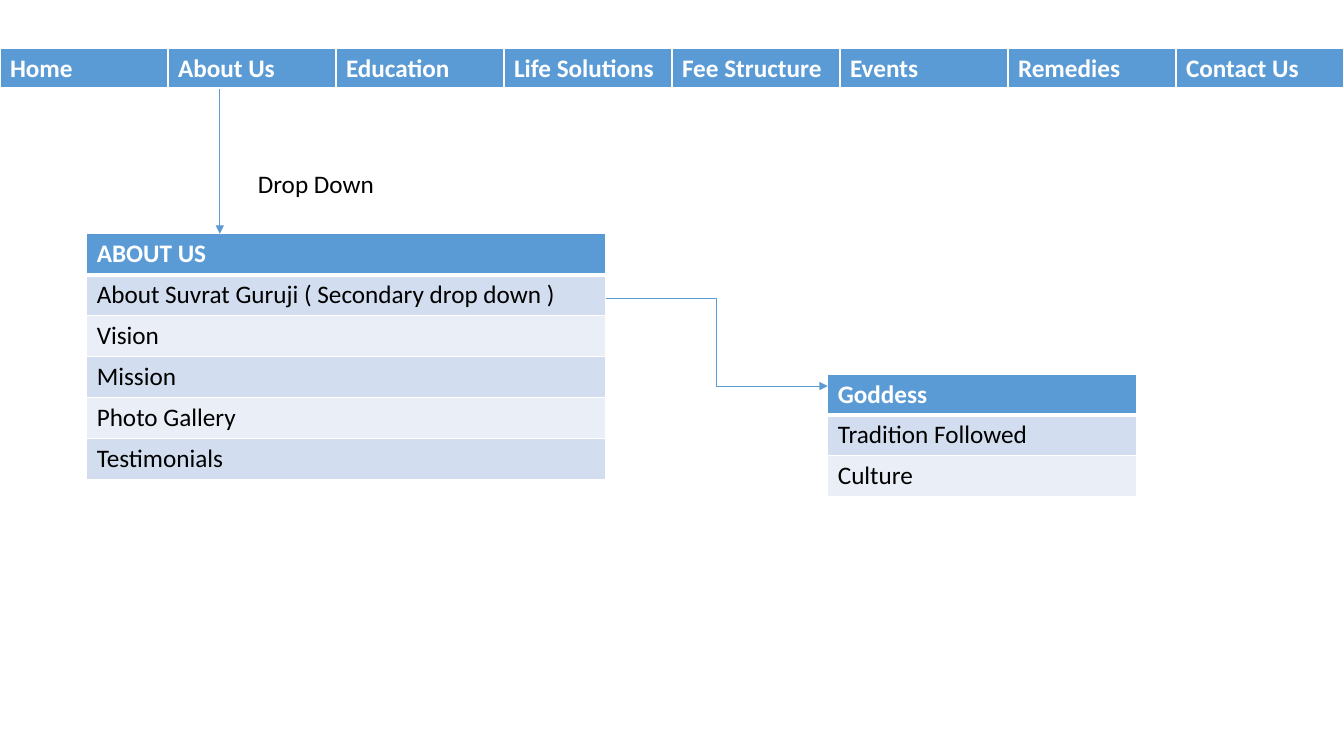
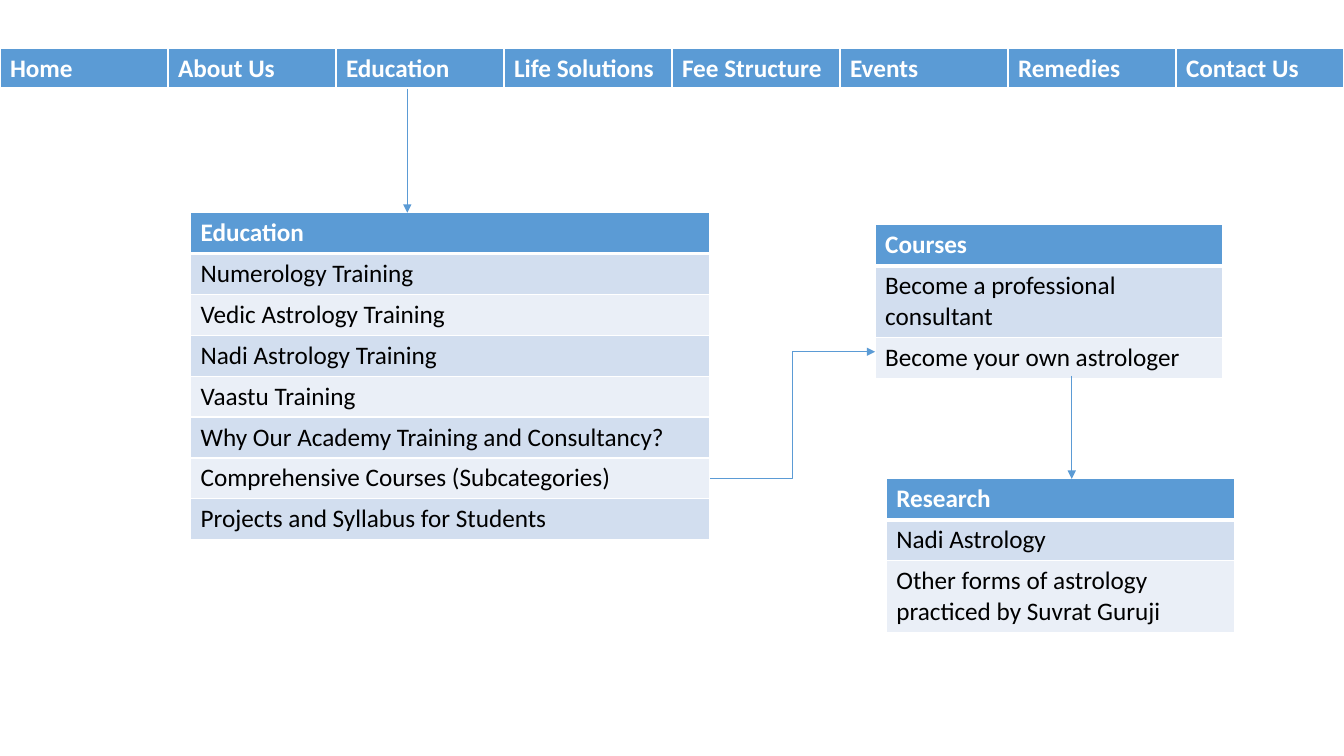
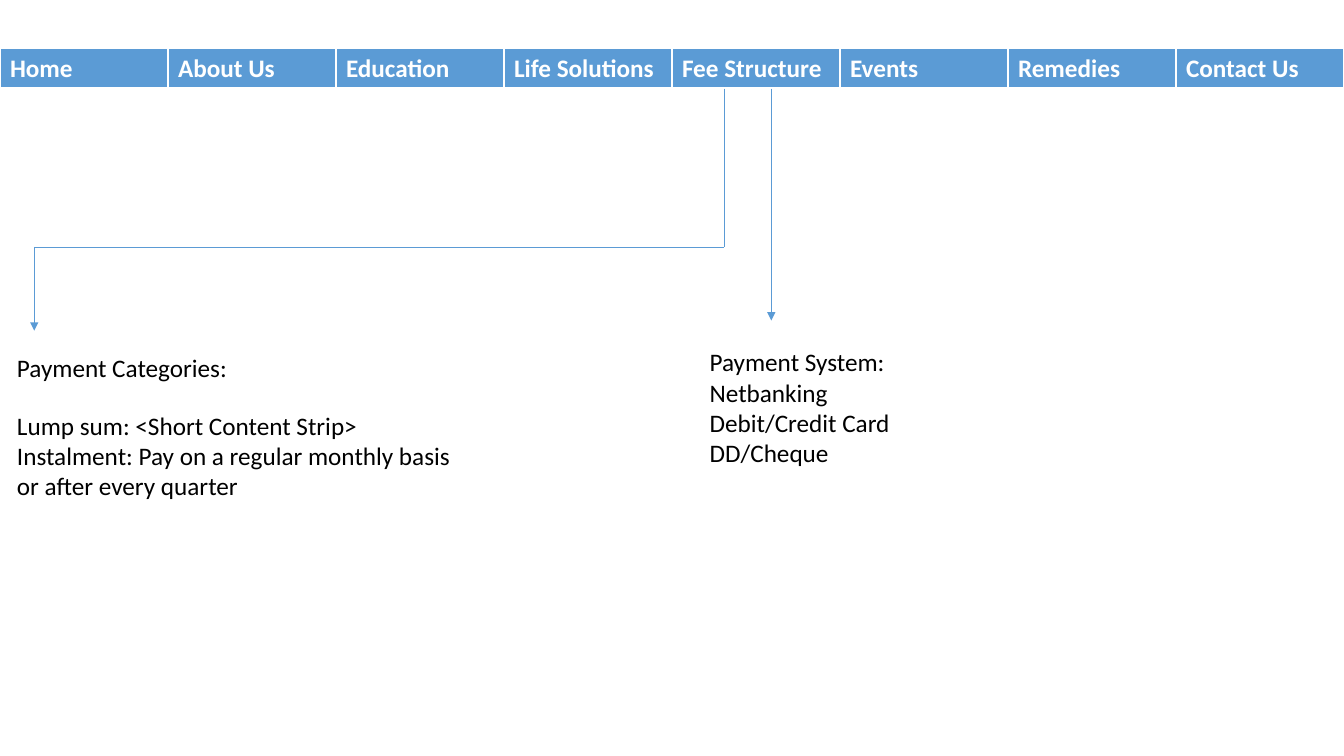
from dataclasses import dataclass

from lxml import etree
from pptx import Presentation
from pptx import util as u
from pptx.dml.color import RGBColor
from pptx.enum import shapes, text
from pptx.oxml.ns import qn


@dataclass(frozen=True)
class Theme:
    accent: RGBColor = RGBColor.from_string("5B9BD5")
    bands: tuple = (RGBColor.from_string("EAEFF7"), RGBColor.from_string("D2DEEF"))
    light: RGBColor = RGBColor.from_string("FFFFFF")
    dark: RGBColor = RGBColor.from_string("000000")
    font: str = "Calibri"
    size: u.Pt = u.Pt(18)
    line: u.Pt = u.Pt(0.5)
    border: u.Pt = u.Pt(1)
    header_border: u.Pt = u.Pt(3)
    row: u.Inches = u.Inches(0.4)


T = Theme()
STRAIGHT = shapes.MSO_CONNECTOR.STRAIGHT
ELBOW = shapes.MSO_CONNECTOR.ELBOW
NAV_BOTTOM = 0.88
MENU_WIDTH = 5.15
SUBMENU_WIDTH = 3.45
BEND = 2.45

nav = (0, 0.48, 13.33, [["Home", "About Us", "Education", "Life Solutions",
                         "Fee Structure", "Events", "Remedies", "Contact Us"]])

pages = [
    {
        "menus": [
            (0.86, 2.32, MENU_WIDTH, [
                ["ABOUT US"], ["About Suvrat Guruji ( Secondary drop down )"], ["Vision"],
                ["Mission"], ["Photo Gallery"], ["Testimonials"]]),
            (8.21, 3.71, 3.06, [["Goddess"], ["Tradition Followed"], ["Culture"]]),
        ],
        "links": [
            (STRAIGHT, 2.18, NAV_BOTTOM, 2.18, 2.32, True),
            (ELBOW, 6.01, 2.96, 8.21, 3.83, True),
        ],
        "labels": [(2.46, 1.62, 1.37, 0.4, False, ["Drop Down"])],
    },
    {
        "menus": [
            (1.89, 2.11, MENU_WIDTH, [
                ["Education"], ["Numerology Training"], ["Vedic Astrology Training"],
                ["Nadi Astrology Training"], ["Vaastu Training"],
                ["Why Our Academy Training and Consultancy?"],
                ["Comprehensive Courses (Subcategories)"],
                ["Projects and Syllabus for Students"]]),
            (8.68, 2.23, SUBMENU_WIDTH, [
                ["Courses"], ["Become a professional consultant"],
                ["Become your own astrologer"]]),
            (8.79, 4.75, SUBMENU_WIDTH, [
                ["Research"], ["Nadi Astrology"],
                ["Other forms of astrology practiced by Suvrat Guruji"]]),
        ],
        "links": [
            (STRAIGHT, 4.04, NAV_BOTTOM, 4.04, 2.11, True),
            (ELBOW, 7.04, 4.75, 8.68, 3.49, True),
            (STRAIGHT, 10.63, 3.73, 10.63, 4.75, True),
        ],
        "labels": [],
    },
    {
        "menus": [],
        "links": [
            (STRAIGHT, 7.18, NAV_BOTTOM, 7.18, BEND, False),
            (STRAIGHT, 7.18, BEND, 0.34, BEND, False),
            (STRAIGHT, 0.34, BEND, 0.34, 3.28, True),
            (STRAIGHT, 7.65, NAV_BOTTOM, 7.65, 3.18, True),
        ],
        "labels": [
            (0.07, 3.45, 4.42, 0.4, True, ["Payment Categories:"]),
            (0.07, 4.02, 4.59, 1.01, True, [
                "Lump sum: <Short Content Strip>",
                "Instalment: Pay on a regular monthly basis or after every quarter"]),
            (6.94, 3.39, 2.24, 1.31, True, [
                "Payment System:", "Netbanking", "Debit/Credit Card", "DD/Cheque"]),
        ],
    },
]


def style_text(p, color, bold=False):
    p.font.name, p.font.size, p.font.bold = T.font, T.size, bold
    p.font.color.rgb = color


def add_border(cell, side, width):
    ln = etree.SubElement(cell._tc.get_or_add_tcPr(), qn(f"a:ln{side}"), w=str(int(width)))
    fill = etree.SubElement(ln, qn("a:solidFill"))
    etree.SubElement(fill, qn("a:srgbClr"), val=str(T.light))


prs = Presentation()
prs.slide_width, prs.slide_height = u.Inches(13.33), u.Inches(7.5)

for page in pages:
    s = prs.slides.add_slide(prs.slide_layouts[6])

    for x, y, width, rows in [nav, *page["menus"]]:
        table = s.shapes.add_table(len(rows), len(rows[0]), u.Inches(x), u.Inches(y),
                                   u.Inches(width), T.row * len(rows)).table
        for i, row in enumerate(rows):
            table.rows[i].height = T.row
            header = i == 0
            for j, words in enumerate(row):
                cell = table.cell(i, j)
                for side in "LRTB":
                    thick = (header and side == "B") or (i == 1 and side == "T")
                    add_border(cell, side, T.header_border if thick else T.border)
                cell.fill.solid()
                cell.fill.fore_color.rgb = T.accent if header else T.bands[i % 2]
                cell.text = words
                style_text(cell.text_frame.paragraphs[0], T.light if header else T.dark, header)

    for kind, x1, y1, x2, y2, arrow in page["links"]:
        link = s.shapes.add_connector(kind, *map(u.Inches, (x1, y1, x2, y2)))
        link.line.color.rgb, link.line.width = T.accent, T.line
        if arrow:
            etree.SubElement(link.line._get_or_add_ln(), qn("a:tailEnd"), type="triangle")
        etree.SubElement(link._element.spPr, qn("a:effectLst"))

    for x, y, width, height, wrap, lines in page["labels"]:
        tf = s.shapes.add_textbox(*map(u.Inches, (x, y, width, height))).text_frame
        tf.word_wrap = wrap
        tf.auto_size = text.MSO_AUTO_SIZE.SHAPE_TO_FIT_TEXT
        tf.text = "\n".join(lines)
        for p in tf.paragraphs:
            style_text(p, T.dark)

prs.save("out.pptx")
